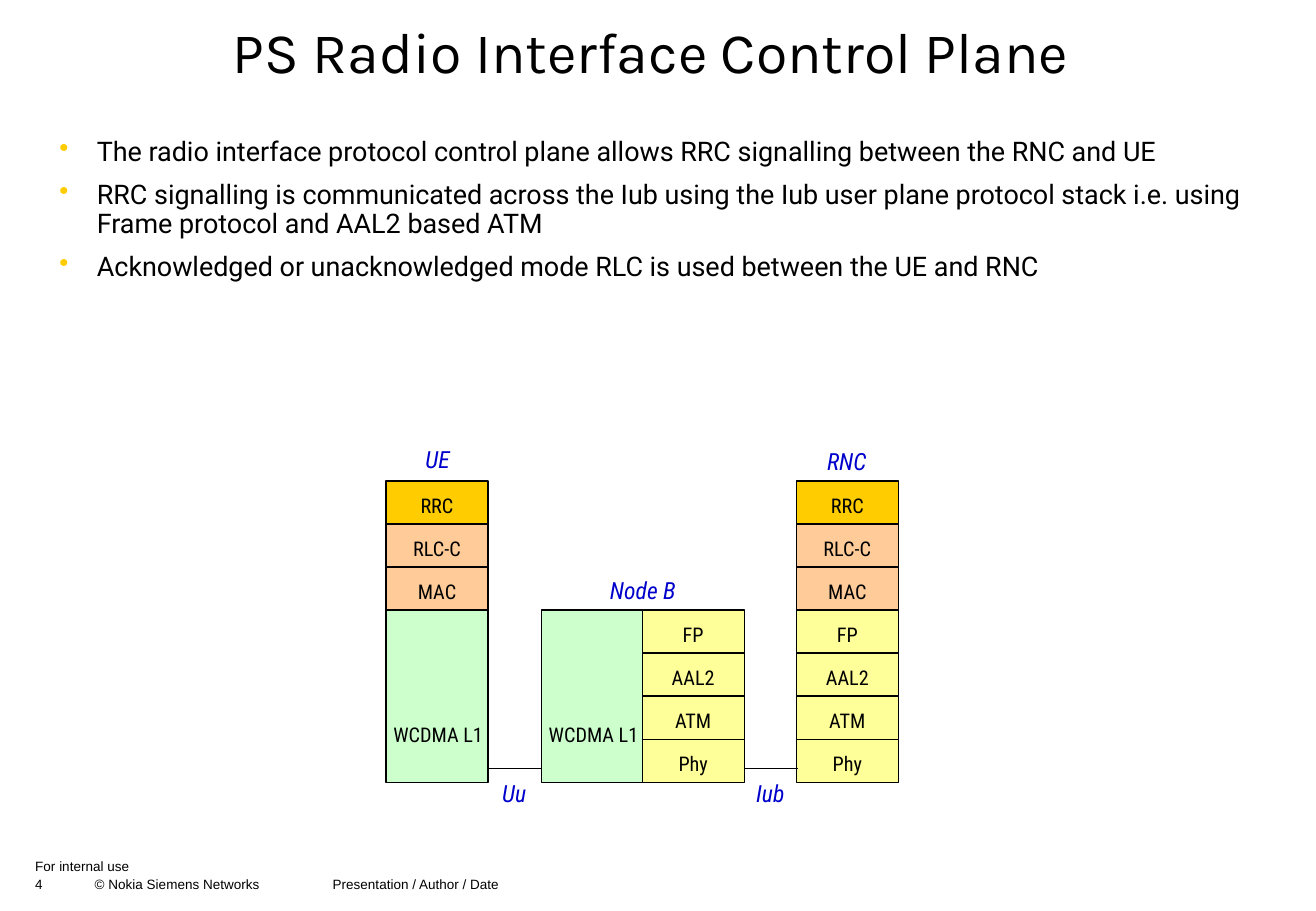
from lxml.etree import SubElement
from pptx import Presentation
from pptx.dml.color import RGBColor
from pptx.enum.shapes import MSO_CONNECTOR, MSO_SHAPE
from pptx.enum.text import MSO_ANCHOR, PP_ALIGN
from pptx.oxml.ns import qn
from pptx.util import Inches, Pt

# Colours
BLACK = RGBColor(0x00, 0x00, 0x00)
BLUE = RGBColor(0x00, 0x00, 0xCC)
GOLD = RGBColor(0xFF, 0xCC, 0x00)
PEACH = RGBColor(0xFF, 0xCC, 0x99)
GREEN = RGBColor(0xCC, 0xFF, 0xCC)
YELLOW = RGBColor(0xFF, 0xFF, 0x99)

# Content
TITLE = "PS Radio Interface Control Plane"
BULLETS = [
    "The radio interface protocol control plane allows RRC signalling between the RNC and UE",
    "RRC signalling is communicated across the Iub using the Iub user plane protocol stack "
    "i.e. using Frame protocol and AAL2 based ATM",
    "Acknowledged or unacknowledged mode RLC is used between the UE and RNC",
]
FOOTER = "4\t© Nokia Siemens Networks\tPresentation / Author / Date"
CLASSIFICATION = "For internal use"
FOOTER_TABS = [0.49, 2.45]

# Layers: label, colour, rows occupied
RADIO_LAYERS = [("RRC", GOLD, 1), ("RLC-C", PEACH, 1), ("MAC", PEACH, 1)]
RADIO_PHYSICAL = [("WCDMA L1", GREEN, 4)]
IUB_LAYERS = [("FP", YELLOW, 1), ("AAL2", YELLOW, 1), ("ATM", YELLOW, 1), ("Phy", YELLOW, 1)]

# Stacks: left edge, first row, layers
STACKS = [
    (3.18, 0, RADIO_LAYERS + RADIO_PHYSICAL),
    (4.46, 3, RADIO_PHYSICAL),
    (5.29, 3, IUB_LAYERS),
    (6.56, 0, RADIO_LAYERS + IUB_LAYERS),
]
STACK_TOP, STACK_BOTTOM, ROW_COUNT = 3.96, 6.44, 7
ROW_HEIGHT = (STACK_BOTTOM - STACK_TOP) / ROW_COUNT
LAYER_WIDTH = 0.84

# Captions: text, left, top
CAPTIONS = [
    ("UE", 3.11, 3.61), ("Node B", 4.8, 4.69), ("RNC", 6.48, 3.63),
    ("Uu", 3.74, 6.36), ("Iub", 5.85, 6.36),
]
LINK_STARTS, LINK_LENGTH, LINK_Y = [4.02, 6.13], 0.44, 6.33


def set_margins(frame, left, top, right, bottom):
    frame.margin_left, frame.margin_top = Inches(left), Inches(top)
    frame.margin_right, frame.margin_bottom = Inches(right), Inches(bottom)


def write(paragraph, text, font_name, size, color=BLACK, italic=False):
    run = paragraph.add_run()
    run.text = text
    run.font.name = font_name
    run.font.size = Pt(size)
    run.font.color.rgb = color
    run.font.italic = italic


def add_text_frame(slide, left, top, width, height, margins=(0.1, 0.05, 0.1, 0.05)):
    box = slide.shapes.add_textbox(Inches(left), Inches(top), Inches(width), Inches(height))
    frame = box.text_frame
    frame.word_wrap = True
    set_margins(frame, *margins)
    return frame


def add_bullet(paragraph):
    properties = paragraph._p.get_or_add_pPr()
    properties.set("marL", str(Inches(0.31)))
    properties.set("indent", str(-Inches(0.31)))
    bullet_color = SubElement(properties, qn("a:buClr"))
    SubElement(bullet_color, qn("a:srgbClr"), val=str(GOLD))
    SubElement(properties, qn("a:buChar"), char="•")


def add_tabs(paragraph, positions):
    tab_list = SubElement(paragraph._p.get_or_add_pPr(), qn("a:tabLst"))
    for position in positions:
        SubElement(tab_list, qn("a:tab"), pos=str(Inches(position)), algn="l")


def add_layer(slide, left, first_row, label, color, rows):
    shape = slide.shapes.add_shape(
        MSO_SHAPE.RECTANGLE, Inches(left), Inches(STACK_TOP + first_row * ROW_HEIGHT),
        Inches(LAYER_WIDTH), Inches(rows * ROW_HEIGHT))
    shape.shadow.inherit = False
    shape.fill.solid()
    shape.fill.fore_color.rgb = color
    shape.line.color.rgb = BLACK
    shape.line.width = Pt(0.75)
    frame = shape.text_frame
    frame.word_wrap = True
    if rows > 1:
        frame.vertical_anchor = MSO_ANCHOR.BOTTOM
        set_margins(frame, 0.02, 0, 0, 0.29)
    else:
        frame.vertical_anchor = MSO_ANCHOR.MIDDLE
        set_margins(frame, 0, 0.05, 0, 0)
    paragraph = frame.paragraphs[0]
    paragraph.alignment = PP_ALIGN.CENTER
    write(paragraph, label, "Roboto Condensed", 12)


def main():
    presentation = Presentation()
    presentation.slide_width, presentation.slide_height = Inches(10.84), Inches(7.5)
    slide = presentation.slides.add_slide(presentation.slide_layouts[6])

    # Footer
    paragraph = add_text_frame(slide, 0.29, 7.21, 8.11, 0.17, (0, 0, 0, 0)).paragraphs[0]
    add_tabs(paragraph, FOOTER_TABS)
    write(paragraph, FOOTER, "Arial", 8)
    paragraph = add_text_frame(slide, 0.29, 7.06, 3.61, 0.15, (0, 0, 0, 0)).paragraphs[0]
    write(paragraph, CLASSIFICATION, "Arial", 8)

    # Title
    frame = add_text_frame(slide, 0.1, 0.07, 10.52, 0.77)
    frame.vertical_anchor = MSO_ANCHOR.MIDDLE
    paragraph = frame.paragraphs[0]
    paragraph.alignment = PP_ALIGN.CENTER
    paragraph.line_spacing = 0.9
    write(paragraph, TITLE, "Karla", 34)

    # Bullets
    frame = add_text_frame(slide, 0.39, 1.09, 9.96, 1.62)
    for index, text in enumerate(BULLETS):
        paragraph = frame.add_paragraph() if index else frame.paragraphs[0]
        add_bullet(paragraph)
        paragraph.line_spacing = 0.9
        paragraph.space_before = Pt(8 if index else 0)
        write(paragraph, text, "Roboto", 16)

    # Protocol stacks
    for left, row, layers in STACKS:
        for label, color, rows in layers:
            add_layer(slide, left, row, label, color, rows)
            row += rows

    # Interface links
    for start in LINK_STARTS:
        link = slide.shapes.add_connector(
            MSO_CONNECTOR.STRAIGHT, Inches(start), Inches(LINK_Y),
            Inches(start + LINK_LENGTH), Inches(LINK_Y))
        link.line.color.rgb = BLACK
        link.line.width = Pt(0.75)
        SubElement(link._element.spPr, qn("a:effectLst"))

    # Node and interface captions
    for text, left, top in CAPTIONS:
        frame = add_text_frame(slide, left, top, 0.99, 0.34)
        frame.vertical_anchor = MSO_ANCHOR.MIDDLE
        paragraph = frame.paragraphs[0]
        paragraph.alignment = PP_ALIGN.CENTER
        write(paragraph, text, "Roboto Condensed", 14, BLUE, italic=True)

    presentation.save("out.pptx")


if __name__ == "__main__":
    main()
